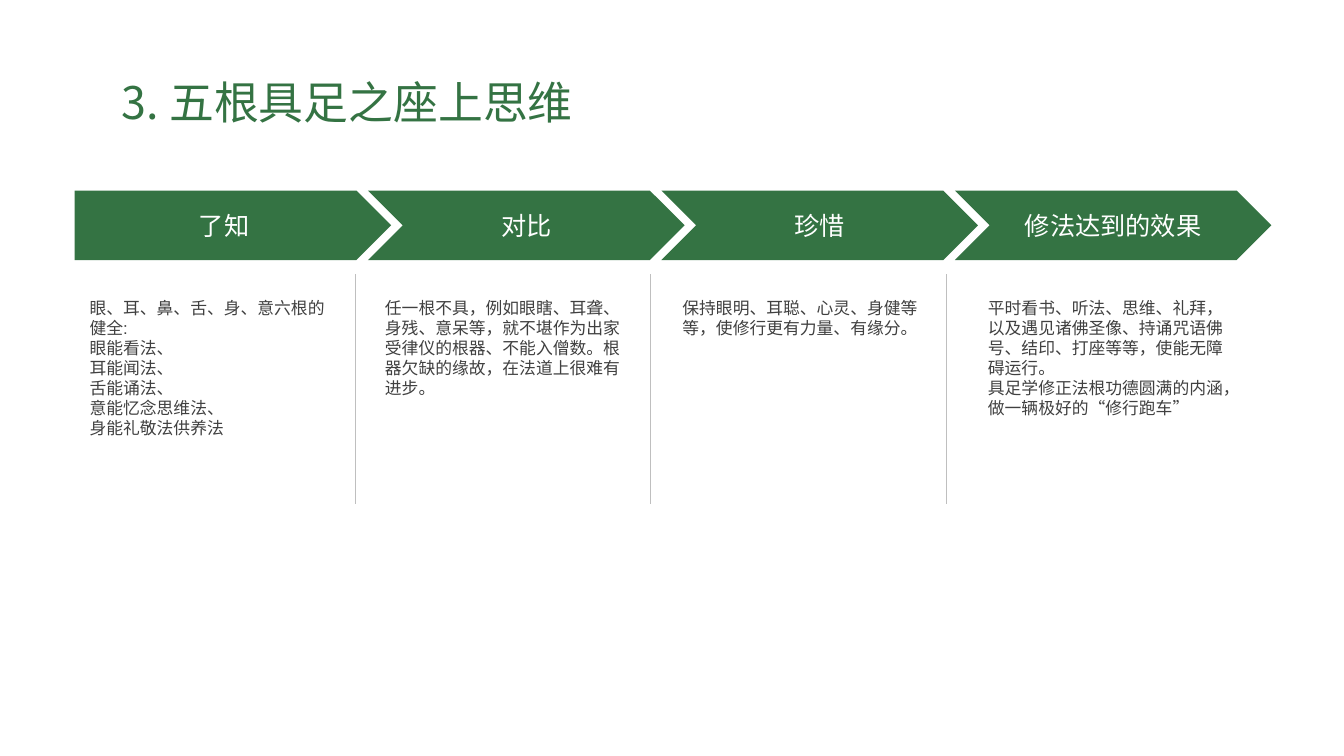
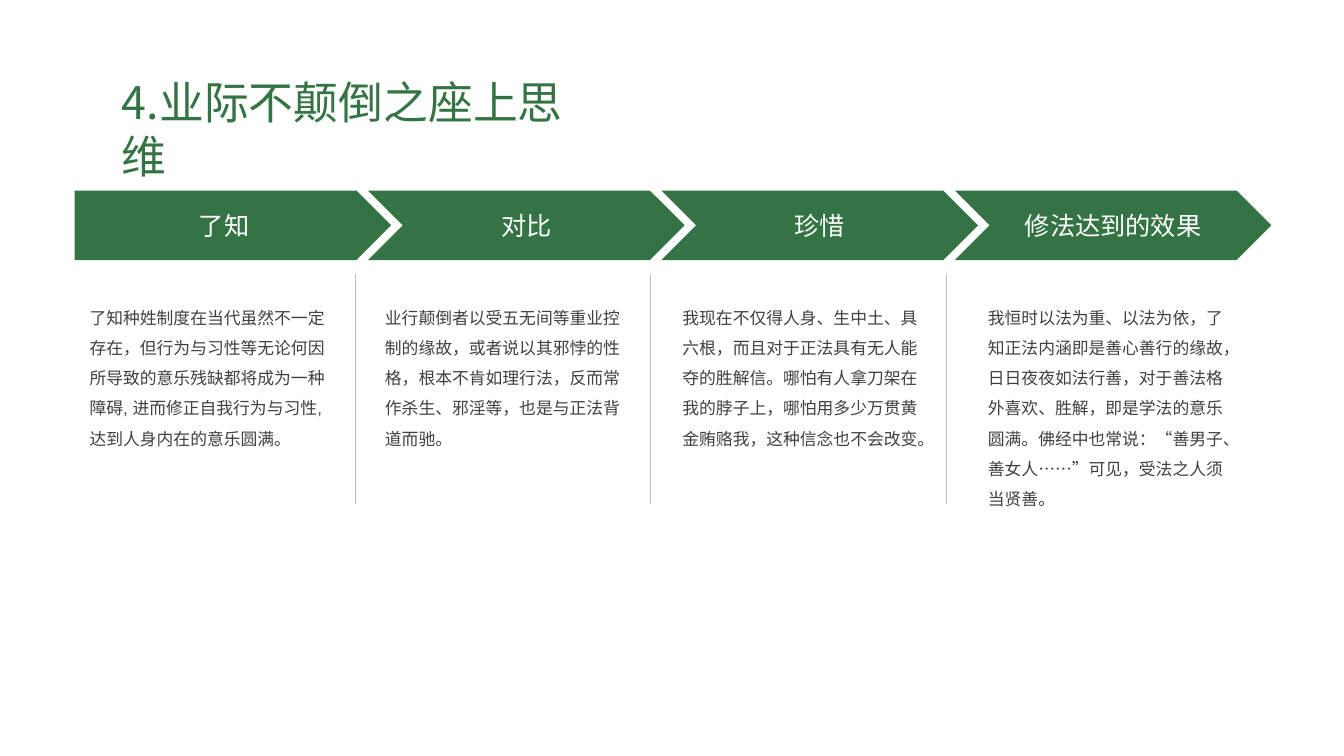
from dataclasses import dataclass

import lxml.etree
import pptx
import pptx.dml.color
import pptx.enum.lang
import pptx.enum.shapes
import pptx.enum.text
import pptx.oxml.ns
import pptx.util

Inches = pptx.util.Inches
Shape = pptx.enum.shapes.MSO_SHAPE
Align = pptx.enum.text.PP_ALIGN
Anchor = pptx.enum.text.MSO_ANCHOR

GREEN = "347343"
WHITE = "FFFFFF"
GREY = "BFBFBF"
DARK = "404040"
HEAD_FONT = "Noto Sans CJK SC"
BODY_FONT = "Arial"

STEPS = ["了知", "对比", "珍惜", "修法达到的效果"]
STEP_LEFT, STEP_PITCH = 0.74, 2.91
DIVIDER_LEFT, DIVIDER_PITCH = 3.52, 2.93
BODY_LEFTS = [0.79, 3.72, 6.67, 9.7]


@dataclass
class Page:
    title: str
    title_width: float
    bodies: list[list[str]]
    line_spacing: float = 1.0


PAGES = [
    Page(
        "3. 五根具足之座上思维",
        4.7,
        [
            [
                "眼、耳、鼻、舌、身、意六根的健全:",
                "眼能看法、",
                "耳能闻法、",
                "舌能诵法、",
                "意能忆念思维法、",
                "身能礼敬法供养法",
            ],
            ["任一根不具，例如眼瞎、耳聋、身残、意呆等，就不堪作为出家受律仪的根器、不能入僧数。根器欠缺的缘故，在法道上很难有进步。"],
            ["保持眼明、耳聪、心灵、身健等等，使修行更有力量、有缘分。"],
            [
                "平时看书、听法、思维、礼拜，以及遇见诸佛圣像、持诵咒语佛号、结印、打座等等，使能无障碍运行。",
                "具足学修正法根功德圆满的内涵，做一辆极好的“修行跑车”",
            ],
        ],
    ),
    Page(
        "4.业际不颠倒之座上思维",
        5.01,
        [
            ["了知种姓制度在当代虽然不一定存在，但行为与习性等无论何因所导致的意乐残缺都将成为一种障碍, 进而修正自我行为与习性, 达到人身内在的意乐圆满。"],
            ["业行颠倒者以受五无间等重业控制的缘故，或者说以其邪悖的性格，根本不肯如理行法，反而常作杀生、邪淫等，也是与正法背道而驰。"],
            ["我现在不仅得人身、生中土、具六根，而且对于正法具有无人能夺的胜解信。哪怕有人拿刀架在我的脖子上，哪怕用多少万贯黄金贿赂我，这种信念也不会改变。"],
            ["我恒时以法为重、以法为依，了知正法内涵即是善心善行的缘故，日日夜夜如法行善，对于善法格外喜欢、胜解，即是学法的意乐圆满。佛经中也常说：“善男子、善女人……”可见，受法之人须当贤善。"],
        ],
        line_spacing=1.5,
    ),
]


def rgb(color: str) -> pptx.dml.color.RGBColor:
    return pptx.dml.color.RGBColor.from_string(color)


def write(sp, paragraphs: list[str], *, size: float, font: str, color: str,
          align=Align.LEFT, anchor=Anchor.TOP, line_spacing: float = 1.0) -> None:
    tf = sp.text_frame
    tf.word_wrap = True
    tf.vertical_anchor = anchor
    for i, text in enumerate(paragraphs):
        p = tf.paragraphs[0] if i == 0 else tf.add_paragraph()
        p.alignment = align
        p.line_spacing = line_spacing
        r = p.add_run()
        r.text = text
        r.font.size = pptx.util.Pt(size)
        r.font.name = font
        r.font.color.rgb = rgb(color)
        r.font.language_id = pptx.enum.lang.MSO_LANGUAGE_ID.SIMPLIFIED_CHINESE


def add_text(s, left: float, top: float, width: float, height: float,
             paragraphs: list[str], **style) -> None:
    sp = s.shapes.add_textbox(Inches(left), Inches(top), Inches(width), Inches(height))
    write(sp, paragraphs, **style)


def add_step(s, index: int, label: str) -> None:
    kind = Shape.CHEVRON if index else Shape.PENTAGON
    left = STEP_LEFT + index * STEP_PITCH
    sp = s.shapes.add_shape(kind, Inches(left), Inches(1.89), Inches(3.14), Inches(0.69))
    sp.shadow.inherit = False
    sp.fill.solid()
    sp.fill.fore_color.rgb = rgb(GREEN)
    sp.line.fill.background()
    write(sp, [label], size=18, font=HEAD_FONT, color=WHITE,
          align=Align.CENTER, anchor=Anchor.MIDDLE)


def add_divider(s, index: int) -> None:
    x = Inches(DIVIDER_LEFT + index * DIVIDER_PITCH)
    line = s.shapes.add_connector(
        pptx.enum.shapes.MSO_CONNECTOR.STRAIGHT, x, Inches(2.72), x, Inches(5))
    line.line.color.rgb = rgb(GREY)
    line.line.width = pptx.util.Pt(0.25)
    lxml.etree.SubElement(line._element.spPr, pptx.oxml.ns.qn("a:effectLst"))


def add_page(prs, page: Page) -> None:
    s = prs.slides.add_slide(prs.slide_layouts[6])
    add_text(s, 1.11, 0.69, page.title_width, 0.64, [page.title],
             size=32, font=HEAD_FONT, color=GREEN)
    for i, label in enumerate(STEPS):
        add_step(s, i, label)
    for i in range(len(STEPS) - 1):
        add_divider(s, i)
    for left, body in zip(BODY_LEFTS, page.bodies):
        add_text(s, left, 2.9, 2.53, 1.9, body, size=12, font=BODY_FONT,
                 color=DARK, line_spacing=page.line_spacing)


def main() -> None:
    prs = pptx.Presentation()
    prs.slide_width = Inches(13.33)
    prs.slide_height = Inches(7.5)
    for page in PAGES:
        add_page(prs, page)
    prs.save("out.pptx")


if __name__ == "__main__":
    main()
